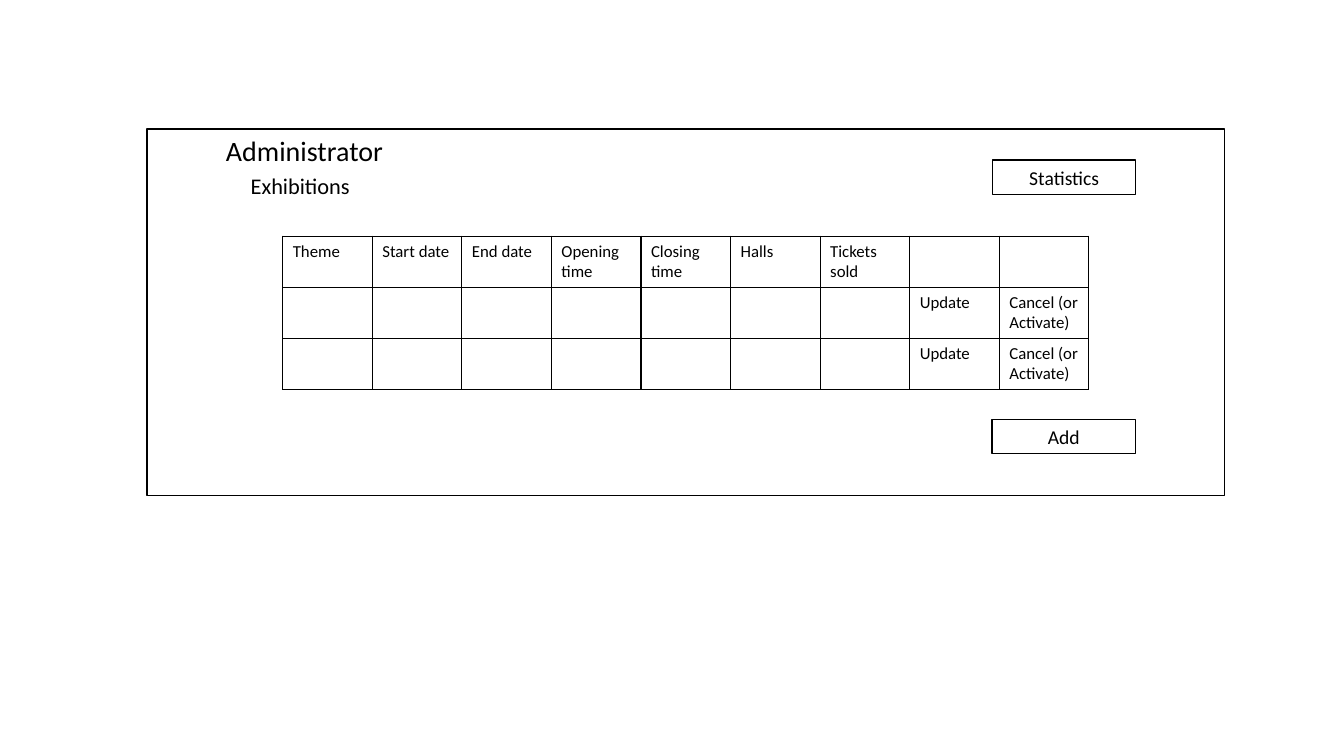
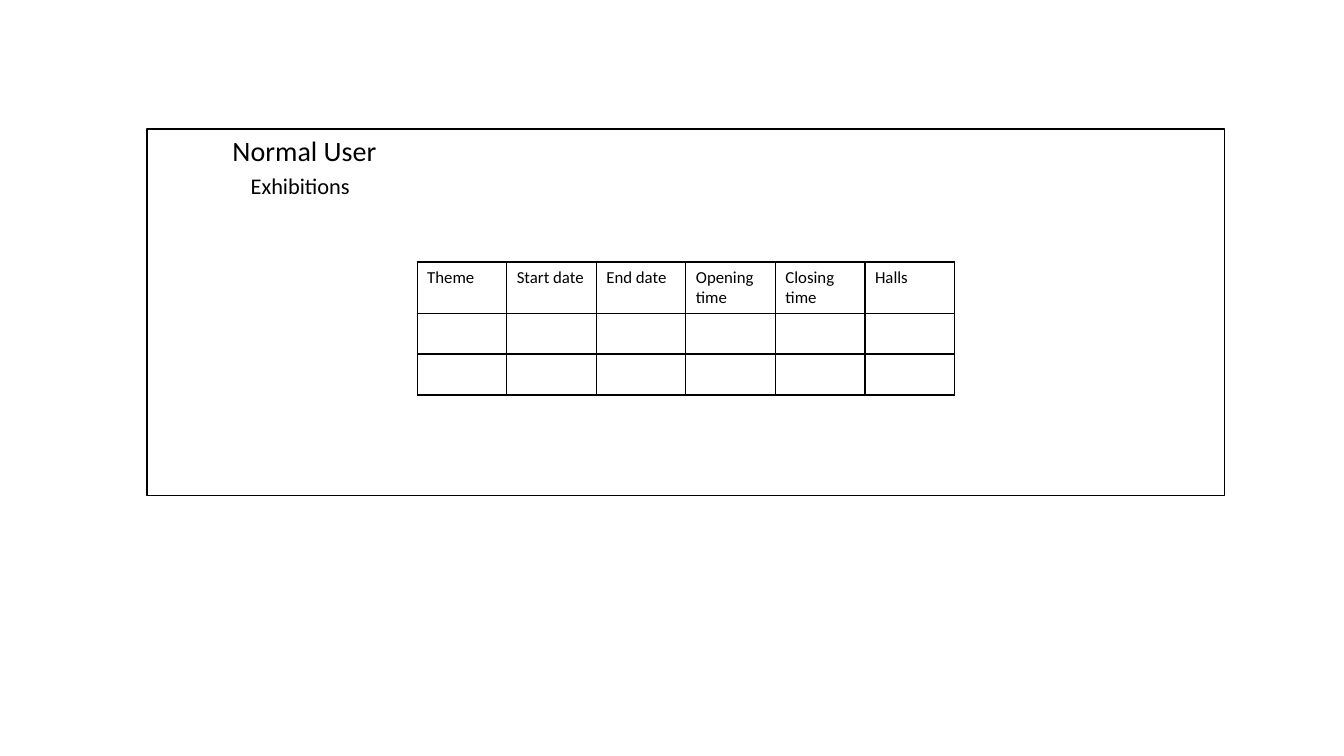
from dataclasses import dataclass

from lxml import etree
from pptx import Presentation
from pptx.dml.color import RGBColor
from pptx.enum.shapes import MSO_SHAPE
from pptx.enum.text import MSO_ANCHOR, MSO_AUTO_SIZE, PP_ALIGN
from pptx.oxml.ns import qn
from pptx.slide import Slide
from pptx.text.text import TextFrame
from pptx.util import Pt

BLACK = RGBColor(0x00, 0x00, 0x00)
WHITE = RGBColor(0xFF, 0xFF, 0xFF)
FONT = "Calibri"
RECTANGLE = MSO_SHAPE.RECTANGLE
LEFT, CENTER = PP_ALIGN.LEFT, PP_ALIGN.CENTER
TOP, MIDDLE = MSO_ANCHOR.TOP, MSO_ANCHOR.MIDDLE
NO_AUTO_SIZE = MSO_AUTO_SIZE.NONE

TITLE_ONLY = 5
LINE_WIDTH = 1
COLUMN_WIDTH = 64
ROW_HEIGHT = 29.2
BORDER_TAGS = ("a:lnL", "a:lnR", "a:lnT", "a:lnB")


@dataclass(frozen=True)
class Area:
    left: float
    top: float
    width: float
    height: float


@dataclass(frozen=True)
class Button:
    label: str
    area: Area


@dataclass(frozen=True)
class Screen:
    title: str
    table_top: float
    headers: tuple[str, ...]
    actions: tuple[str, ...] = ()
    buttons: tuple[Button, ...] = ()


PANEL = Area(105.1, 92.1, 769.7, 262.1)
TITLE = Area(105.1, 92.1, 224.8, 31.5)
SUBTITLE = Area(105.1, 119.6, 218.7, 26.7)
USER_HEADERS = ("Theme", "Start date", "End date", "Opening time", "Closing time", "Halls")
BODY_ROWS = 2

SCREENS = (
    Screen(
        "Administrator",
        168.7,
        USER_HEADERS + ("Tickets sold", "", ""),
        ("Update", "Cancel (or Activate)"),
        (
            Button("Add", Area(708.7, 299.5, 102.3, 24.6)),
            Button("Statistics", Area(709, 114.4, 102.3, 24.6)),
        ),
    ),
    Screen("Normal User", 187.2, USER_HEADERS),
)


def bounds(area: Area) -> tuple[Pt, Pt, Pt, Pt]:
    return Pt(area.left), Pt(area.top), Pt(area.width), Pt(area.height)


def write_text(
    frame: TextFrame,
    text: str,
    *,
    size: float,
    align: PP_ALIGN = CENTER,
    anchor: MSO_ANCHOR = TOP,
) -> None:
    frame.word_wrap = True
    frame.auto_size = NO_AUTO_SIZE
    frame.vertical_anchor = anchor
    para = frame.paragraphs[0]
    para.alignment = align
    para.line_spacing = 1.0
    para.space_before = Pt(0)
    span = para.add_run()
    span.text = text
    span.font.name = FONT
    span.font.size = Pt(size)
    span.font.color.rgb = BLACK


def add_box(page: Slide, area: Area, fill: RGBColor | None = None) -> TextFrame:
    box = page.shapes.add_shape(RECTANGLE, *bounds(area))
    box.shadow.inherit = False
    if fill is None:
        box.fill.background()
    else:
        box.fill.solid()
        box.fill.fore_color.rgb = fill
    box.line.color.rgb = BLACK
    box.line.width = Pt(LINE_WIDTH)
    return box.text_frame


def add_borders(properties: etree._Element) -> None:
    for tag in BORDER_TAGS:
        border = etree.SubElement(properties, qn(tag), w=str(Pt(LINE_WIDTH)))
        fill = etree.SubElement(border, qn("a:solidFill"))
        etree.SubElement(fill, qn("a:srgbClr"), val=str(BLACK))


def add_grid(page: Slide, screen: Screen) -> None:
    column_count = len(screen.headers)
    body = ("",) * (column_count - len(screen.actions)) + screen.actions
    rows = (screen.headers,) + (body,) * BODY_ROWS
    width = column_count * COLUMN_WIDTH
    left = PANEL.left + (PANEL.width - width) / 2
    area = Area(left, screen.table_top, width, len(rows) * ROW_HEIGHT)
    table = page.shapes.add_table(len(rows), column_count, *bounds(area)).table
    table.first_row = False
    table.horz_banding = False
    for column in table.columns:
        column.width = Pt(COLUMN_WIDTH)
    for row, labels in zip(table.rows, rows):
        row.height = Pt(ROW_HEIGHT)
        for cell, label in zip(row.cells, labels):
            add_borders(cell._tc.get_or_add_tcPr())
            cell.fill.background()
            if label:
                write_text(cell.text_frame, label, size=12, align=LEFT)


def add_screen(page: Slide, screen: Screen) -> None:
    title = page.shapes.title
    title.left, title.top, title.width, title.height = bounds(TITLE)
    write_text(title.text_frame, screen.title, size=20)
    add_box(page, PANEL)
    add_grid(page, screen)
    for button in screen.buttons:
        frame = add_box(page, button.area, WHITE)
        write_text(frame, button.label, size=14, anchor=MIDDLE)
    subtitle = page.shapes.add_textbox(*bounds(SUBTITLE))
    write_text(subtitle.text_frame, "Exhibitions", size=16)


def main() -> None:
    deck = Presentation()
    deck.slide_width, deck.slide_height = Pt(960), Pt(540)
    for screen in SCREENS:
        add_screen(deck.slides.add_slide(deck.slide_layouts[TITLE_ONLY]), screen)
    deck.save("out.pptx")


if __name__ == "__main__":
    main()
